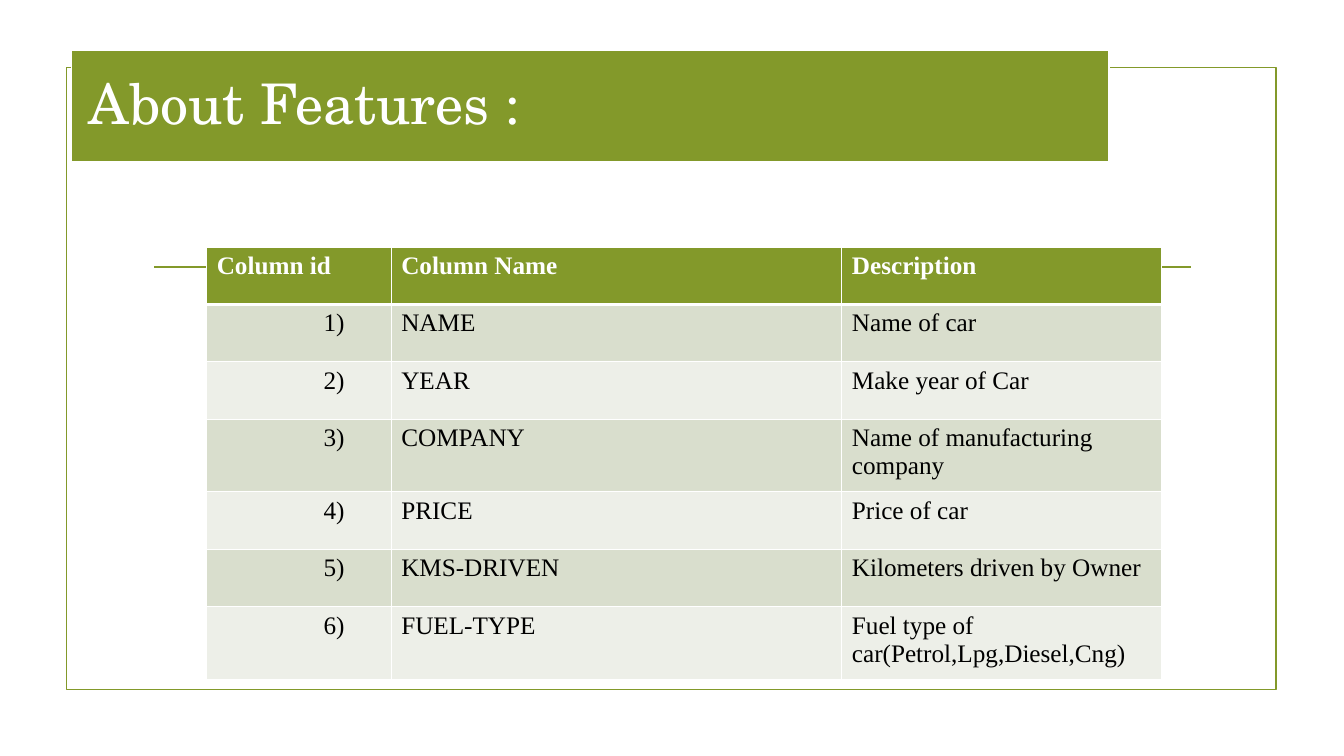
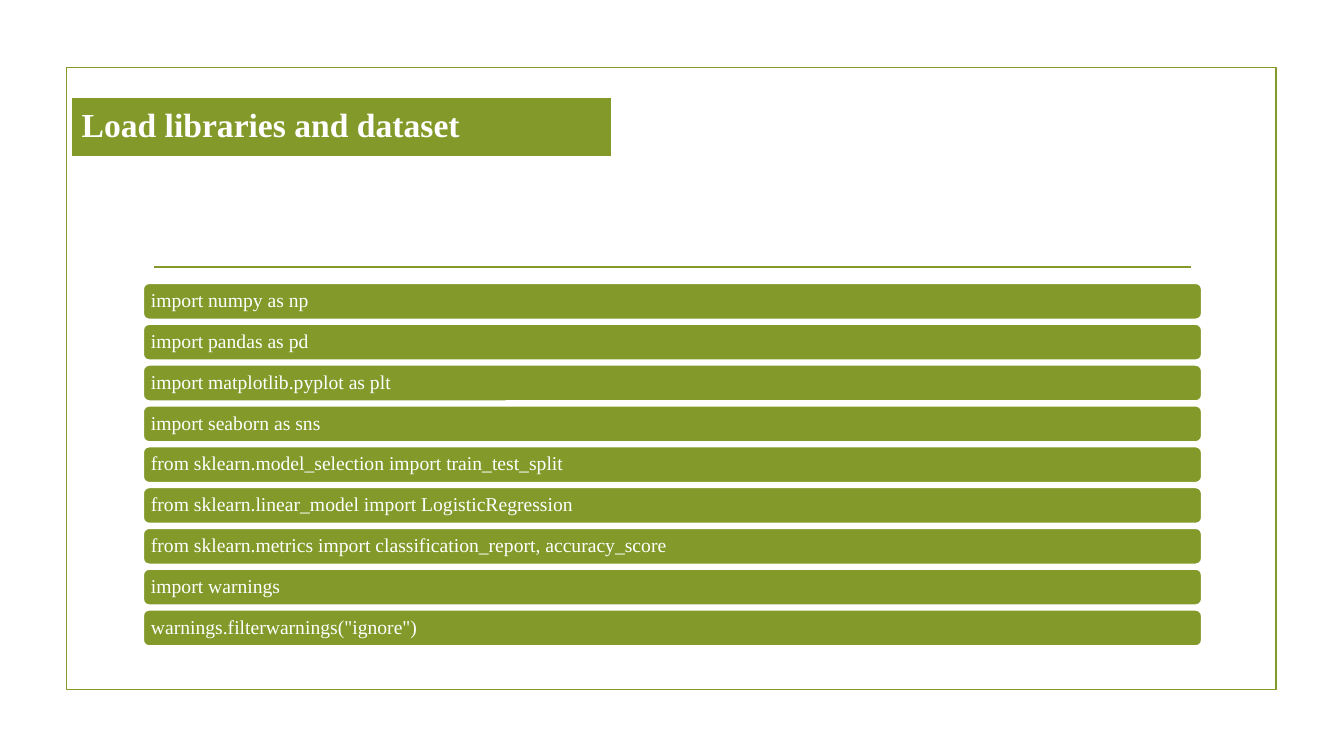
from lxml import etree
from pptx import Presentation
from pptx.dml.color import RGBColor
from pptx.enum.shapes import MSO_CONNECTOR, MSO_SHAPE
from pptx.enum.text import MSO_ANCHOR, MSO_AUTO_SIZE, PP_ALIGN
from pptx.oxml import parse_xml
from pptx.oxml.ns import qn
from pptx.util import Inches, Pt

RECTANGLE = MSO_SHAPE.RECTANGLE
ROUNDED = MSO_SHAPE.ROUNDED_RECTANGLE
STRAIGHT = MSO_CONNECTOR.STRAIGHT
MIDDLE = MSO_ANCHOR.MIDDLE
NO_AUTOFIT = MSO_AUTO_SIZE.NONE
LEFT = PP_ALIGN.LEFT

GREEN = "83992A"
WHITE = "FFFFFF"
BLACK = "000000"
DARK_ROW = "D9DECD"
LIGHT_ROW = "EDEFE8"
SERIF = "Times New Roman"
DRAWING = "http://schemas.openxmlformats.org/drawingml/2006/main"


def color(value):
    return RGBColor.from_string(value)


def fill_band(band, text, font, size, bold, inset):
    band.fill.solid()
    band.fill.fore_color.rgb = color(GREEN)
    band.line.color.rgb = color(WHITE)
    band.line.width = Pt(1.25)
    frame = band.text_frame
    frame.word_wrap = True
    frame.auto_size = NO_AUTOFIT
    frame.vertical_anchor = MIDDLE
    frame.margin_left = frame.margin_right = Inches(inset)
    frame.margin_top = frame.margin_bottom = Inches(inset)
    para = frame.paragraphs[0]
    para.alignment = LEFT
    para.line_spacing = 0.9
    span = para.add_run()
    span.text = text
    span.font.name = font
    span.font.size = Pt(size)
    span.font.bold = bold
    span.font.color.rgb = color(WHITE)


deck = Presentation()
deck.slide_width = Inches(13.33)
deck.slide_height = Inches(7.5)
title_only = deck.slide_layouts[5]

titles = [
    ("About Features :", (0.71, 0.5, 10.29, 1.11), "TeX Gyre Schola", 40, False, 0.17),
    ("Load libraries and dataset", (0.71, 0.96, 5.36, 0.6), SERIF, 24, True, 0.1),
]
pages = []
for text, place, font, size, bold, inset in titles:
    page = deck.slides.add_slide(title_only)
    pages.append(page)

    border = page.shapes.add_shape(
        RECTANGLE, Inches(0.66), Inches(0.67), Inches(12), Inches(6.17))
    border.shadow.inherit = False
    border.fill.background()
    border.line.color.rgb = color(GREEN)
    border.line.width = Pt(1.25)

    rule = page.shapes.add_connector(
        STRAIGHT, Inches(1.53), Inches(2.65), Inches(11.81), Inches(2.65))
    rule.line.color.rgb = color(GREEN)
    rule.line.width = Pt(1.25)
    etree.SubElement(rule.element.spPr, qn("a:effectLst"))

    title = page.shapes.title
    title.left, title.top, title.width, title.height = map(Inches, place)
    title.element.spPr.append(parse_xml(
        f'<a:prstGeom xmlns:a="{DRAWING}" prst="roundRect"><a:avLst/></a:prstGeom>'))
    fill_band(title, text, font, size, bold, inset)
    title.element.getparent().append(title.element)

features_page, libraries_page = pages

features = [
    ("Column id", "Column Name", "Description"),
    ("1)", "NAME", "Name of car"),
    ("2)", "YEAR", "Make year of Car"),
    ("3)", "COMPANY", "Name of manufacturing company"),
    ("4)", "PRICE", "Price of car"),
    ("5)", "KMS-DRIVEN", "Kilometers driven by Owner"),
    ("6)", "FUEL-TYPE", "Fuel type of car(Petrol,Lpg,Diesel,Cng)"),
]
column_widths = [1.83, 4.47, 3.17]
row_heights = [0.57, 0.57, 0.57, 0.72, 0.57, 0.57, 0.72]
table = features_page.shapes.add_table(
    len(features), len(column_widths), Inches(2.05), Inches(2.45),
    Inches(sum(column_widths)), Inches(sum(row_heights))).table
for column, width in zip(table.columns, column_widths):
    column.width = Inches(width)
for row, height in zip(table.rows, row_heights):
    row.height = Inches(height)

for row_index, texts in enumerate(features):
    header = row_index == 0
    row_fill = GREEN if header else DARK_ROW if row_index % 2 else LIGHT_ROW
    for column_index, text in enumerate(texts):
        cell = table.cell(row_index, column_index)
        if column_index == 0 and not header:
            cell.margin_left = Inches(1.16)
        properties = cell._tc.get_or_add_tcPr()
        for side in ("lnL", "lnR", "lnT", "lnB"):
            thick = (header and side == "lnB") or (row_index == 1 and side == "lnT")
            width = Pt(3 if thick else 1)
            properties.append(parse_xml(
                f'<a:{side} xmlns:a="{DRAWING}" w="{width}"><a:solidFill>'
                f'<a:srgbClr val="{WHITE}"/></a:solidFill></a:{side}>'))
        cell.fill.solid()
        cell.fill.fore_color.rgb = color(row_fill)
        span = cell.text_frame.paragraphs[0].add_run()
        span.text = text
        span.font.name = SERIF
        span.font.size = Pt(18)
        span.font.bold = header
        span.font.color.rgb = color(WHITE if header else BLACK)

code_lines = [
    "import numpy as np",
    "import pandas as pd",
    "import matplotlib.pyplot as plt",
    "import seaborn as sns",
    "from sklearn.model_selection import train_test_split",
    "from sklearn.linear_model import LogisticRegression",
    "from sklearn.metrics import classification_report, accuracy_score",
    "import warnings",
    'warnings.filterwarnings("ignore")',
]
first_top, last_top = 2.81, 6.05
pitch = (last_top - first_top) / (len(code_lines) - 1)
for index, code in enumerate(code_lines):
    bar = libraries_page.shapes.add_shape(
        ROUNDED, Inches(1.42), Inches(first_top + index * pitch),
        Inches(10.5), Inches(0.36))
    bar.shadow.inherit = False
    fill_band(bar, code, SERIF, 14, False, 0.06)

deck.save("out.pptx")
